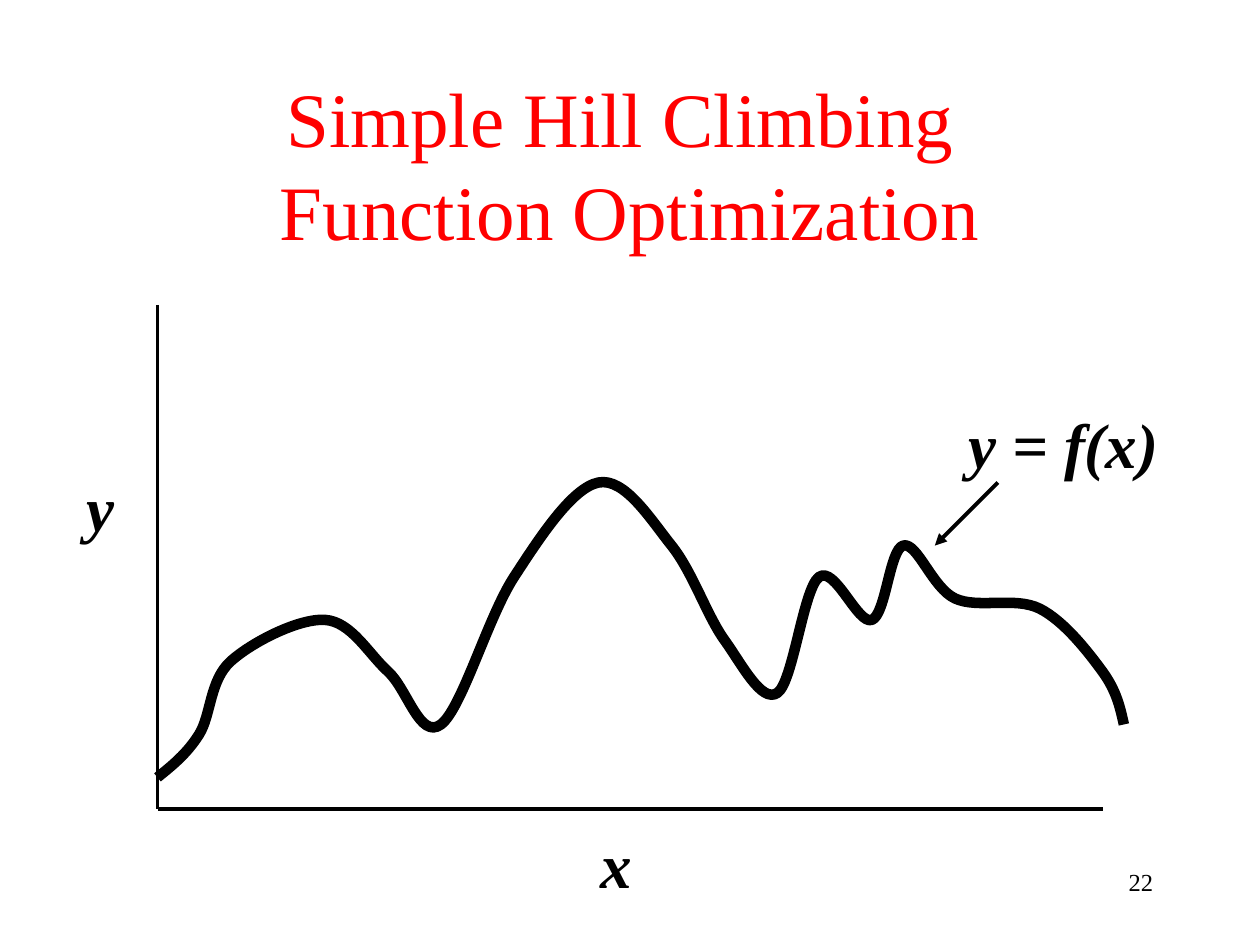
"""Build the slide about simple hill climbing for function optimization."""
from lxml.etree import SubElement
from pptx import Presentation
from pptx.dml.color import RGBColor
from pptx.enum.shapes import MSO_CONNECTOR
from pptx.enum.text import MSO_ANCHOR, MSO_AUTO_SIZE, PP_ALIGN
from pptx.oxml.ns import qn
from pptx.util import Inches, Pt

FONT = "Times New Roman"
RED = RGBColor(0xFF, 0x00, 0x00)
BLACK = RGBColor(0x00, 0x00, 0x00)

TITLE = "Simple Hill Climbing \vFunction Optimization"
PAGE_NUMBER = "22"
LABELS = [
    ("y = f(x)", 7.59, 3.17, 1.75),
    ("x", 4.67, 6.5, 0.45),
    ("y", 0.59, 3.67, 0.42),
]
Y_AXIS = (1.25, 2.42), (1.25, 6.42)
X_AXIS = (8.75, 6.42), (1.25, 6.42)
POINTER = (7.42, 4.33), (7.92, 3.83)
CURVE = [
    (1.25, 6.17), (1.58, 5.83), (1.83, 5.25), (2.58, 4.92), (3.08, 5.33),
    (3.5, 5.75), (4.08, 4.58), (4.75, 3.83), (5.33, 4.33), (5.75, 5.08),
    (6.17, 5.5), (6.5, 4.58), (6.92, 4.92), (7.17, 4.33), (7.58, 4.75),
    (8.25, 4.83), (8.75, 5.33), (8.92, 5.75),
]


def style(paragraph, size, color=BLACK, bold=False):
    for run in paragraph.runs:
        font = run.font
        font.name, font.size, font.color.rgb = FONT, Pt(size), color
        font.bold = font.italic = bold


def add_text(slide, text, left, top, width, height):
    box = slide.shapes.add_textbox(*map(Inches, (left, top, width, height)))
    box.text_frame.text = text
    return box.text_frame


def add_line(slide, start, end):
    line = slide.shapes.add_connector(
        MSO_CONNECTOR.STRAIGHT, *map(Inches, (*start, *end)))
    line.line.color.rgb, line.line.width = BLACK, Pt(2.25)
    SubElement(line._element.spPr, qn("a:effectLst"))
    return line


def middle(first, second):
    return tuple((a + b) / 2 for a, b in zip(first, second))


def spline(knots):
    """Return three Bezier points for each span between knots."""
    handles = []
    for before, knot, after in zip(knots, knots[1:], knots[2:]):
        step = [(b - a) / 6 for a, b in zip(before, after)]
        handles.append((tuple(k - s for k, s in zip(knot, step)),
                        tuple(k + s for k, s in zip(knot, step))))
    leaving = [middle(knots[0], handles[0][0])] + [out for _, out in handles]
    arriving = [into for into, _ in handles] + [middle(knots[-1], handles[-1][1])]
    return [point for span in zip(leaving, arriving, knots[1:]) for point in span]


def add_curve(slide, knots):
    start, *points = [tuple(map(Inches, point)) for point in knots[:1] + spline(knots)]
    builder = slide.shapes.build_freeform(*start)
    builder.add_line_segments(points, close=False)
    curve = builder.convert_to_shape()
    outline = curve._element.find(".//" + qn("a:path"))
    segments = outline.findall(qn("a:lnTo"))
    for index in range(0, len(segments), 3):
        bezier = SubElement(outline, qn("a:cubicBezTo"))
        for segment in segments[index:index + 3]:
            bezier.append(segment[0])
            outline.remove(segment)
    curve.shadow.inherit = False
    curve.fill.background()
    curve.line.color.rgb, curve.line.width = BLACK, Pt(6)


def main():
    presentation = Presentation()
    presentation.slide_width, presentation.slide_height = Inches(10), Inches(7.5)
    slide = presentation.slides.add_slide(presentation.slide_layouts[5])

    title = slide.shapes.title
    title.left, title.top, title.width, title.height = map(
        Inches, (0.75, 0.67, 8.5, 1.25))
    frame = title.text_frame
    frame.text = TITLE
    frame.auto_size, frame.vertical_anchor = MSO_AUTO_SIZE.NONE, MSO_ANCHOR.MIDDLE
    frame.paragraphs[0].alignment = PP_ALIGN.CENTER
    style(frame.paragraphs[0], 44, RED)

    frame = add_text(slide, PAGE_NUMBER, 7.17, 6.83, 2.08, 0.5)
    frame.word_wrap = True
    frame.paragraphs[0].alignment = PP_ALIGN.RIGHT
    style(frame.paragraphs[0], 14)

    for axis in (Y_AXIS, X_AXIS):
        add_line(slide, *axis)
    add_curve(slide, CURVE)
    pointer = add_line(slide, *POINTER)
    SubElement(pointer.line._get_or_add_ln(), qn("a:headEnd"), type="triangle")

    for text, left, top, width in LABELS:
        frame = add_text(slide, text, left, top, width, 0.7)
        frame.word_wrap = False
        frame.auto_size = MSO_AUTO_SIZE.SHAPE_TO_FIT_TEXT
        style(frame.paragraphs[0], 36, bold=True)

    presentation.save("out.pptx")


if __name__ == "__main__":
    main()
